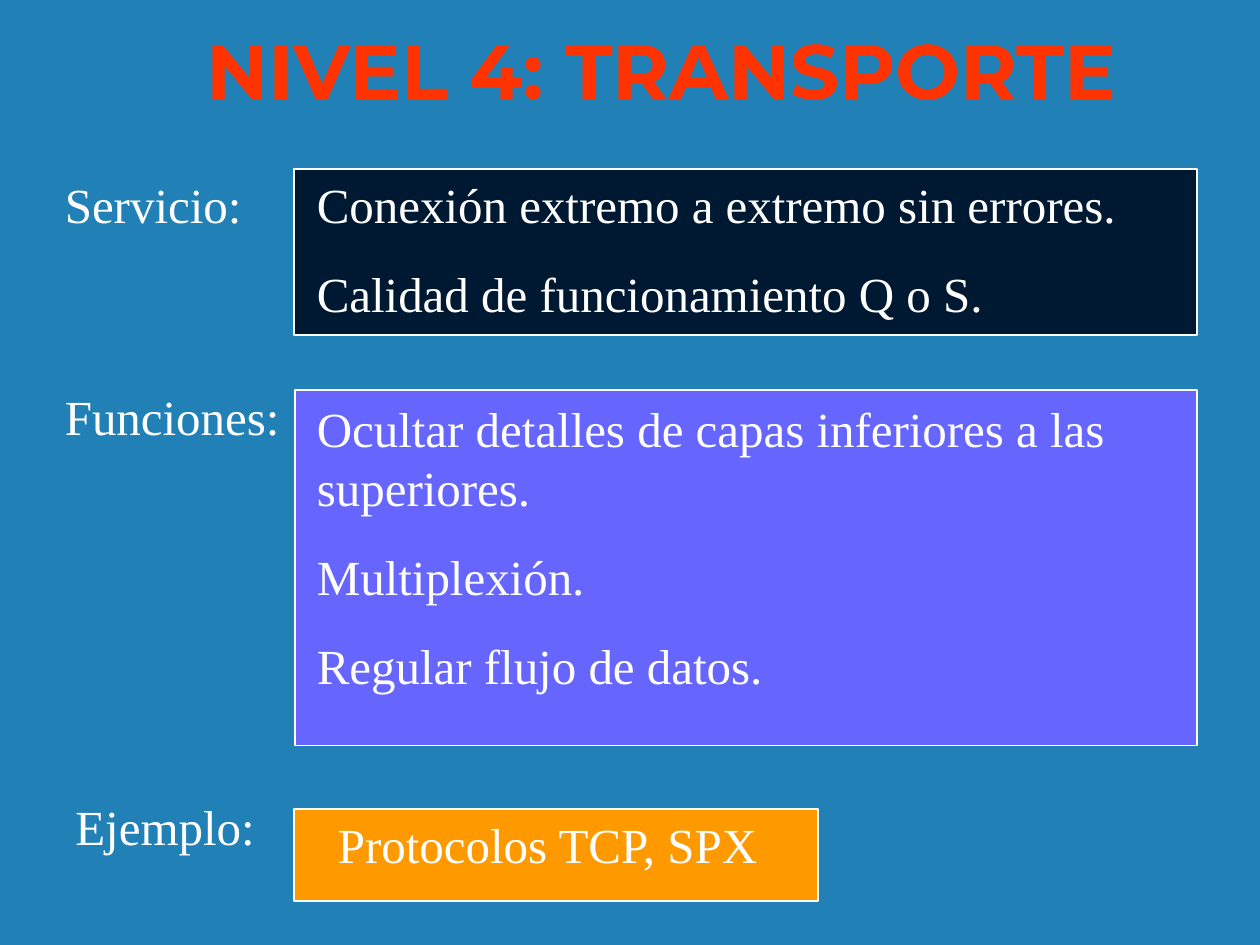
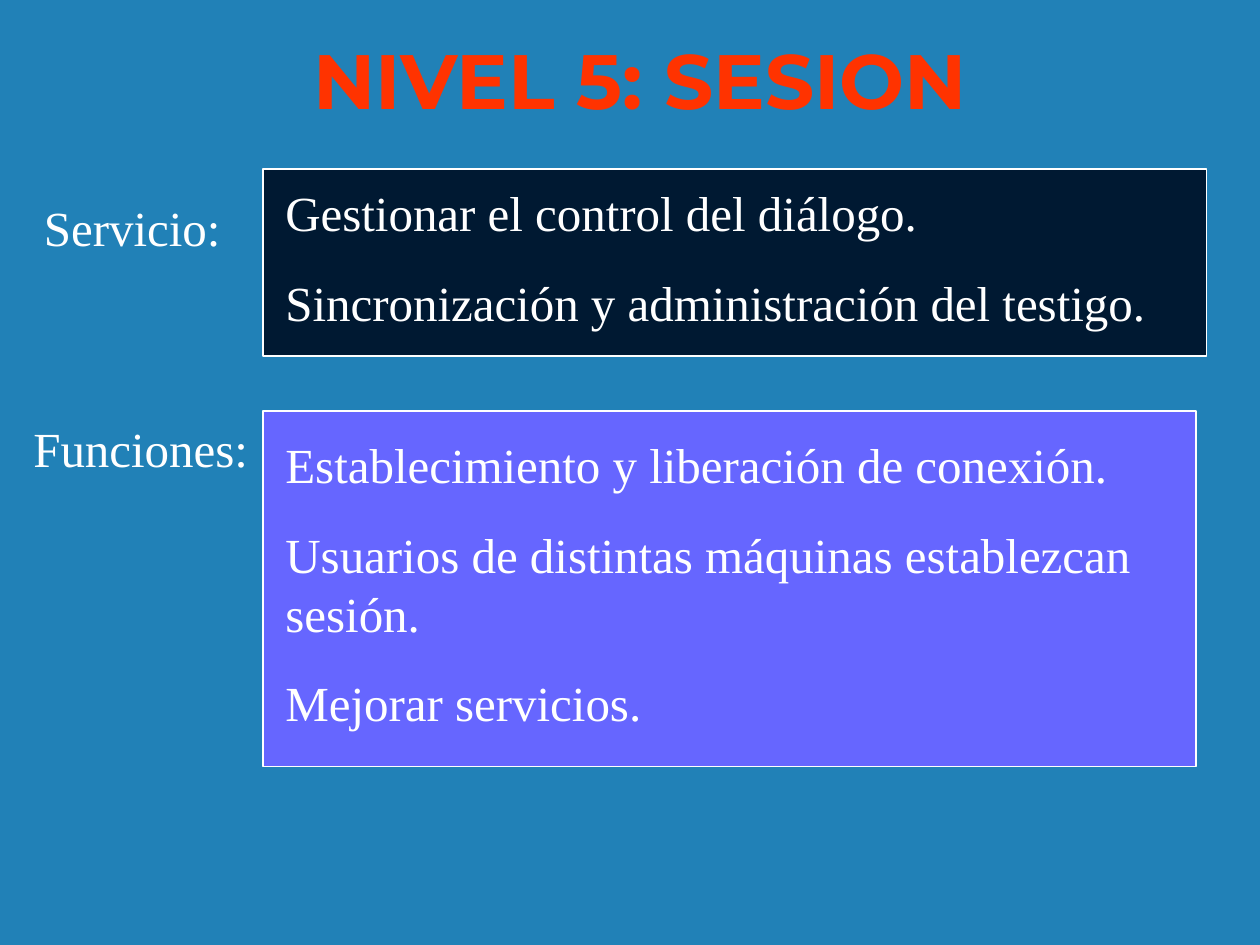
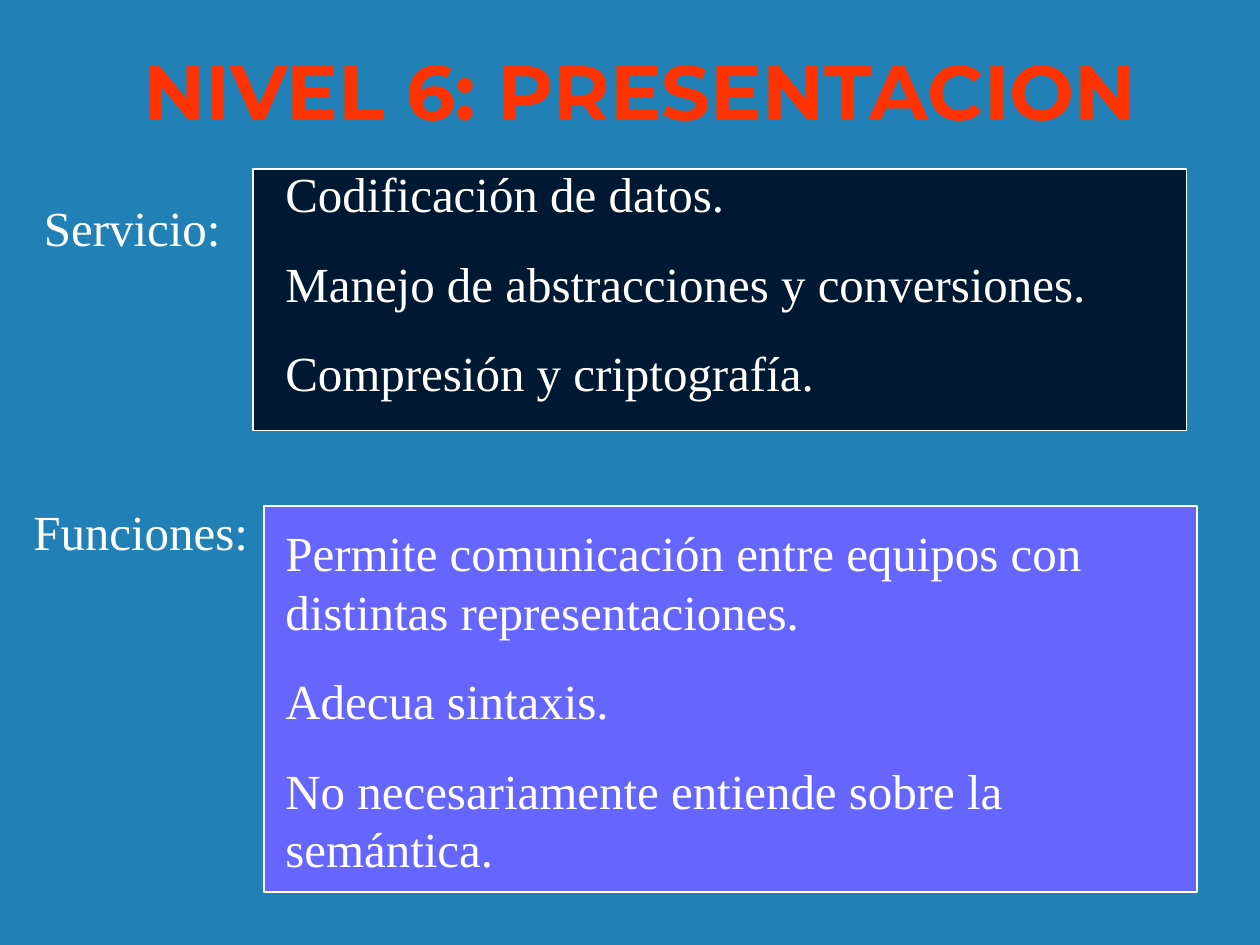
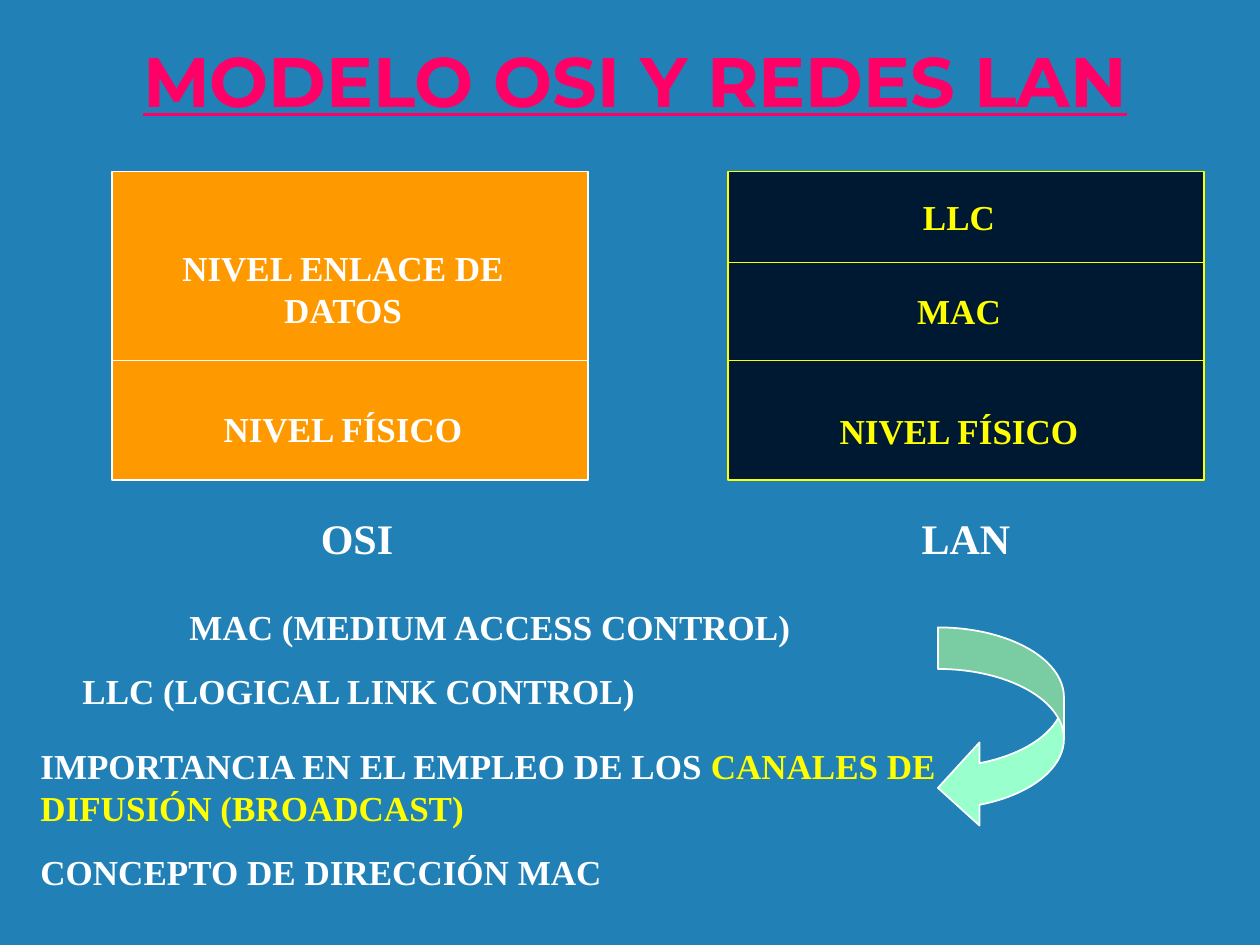
"""Build four slides on the OSI levels and LAN networks."""
from lxml import etree
from pptx import Presentation
from pptx import util as u
from pptx.dml.color import RGBColor
from pptx.enum import shapes, text
from pptx.oxml.ns import qn

COLOURS = {
    "background": "2181B7", "level": "FF3300", "model": "FF0066",
    "navy": "001932", "violet": "6666FF", "orange": "FF9900",
    "white": "FFFFFF", "yellow": "FFFF00", "mint": "99FFCC",
}
RGB = {name: RGBColor.from_string(value) for name, value in COLOURS.items()}
BODY_FONT, TITLE_FONT = "Times New Roman", "Montserrat"
LEFT, CENTRE = text.PP_ALIGN.LEFT, text.PP_ALIGN.CENTER
RECTANGLE = shapes.MSO_SHAPE.RECTANGLE


def write(slide, place, lines, size=28, colour="white", bold=False, align=LEFT):
    """Add a text box with one paragraph per line."""
    frame = slide.shapes.add_textbox(*map(u.Pt, place)).text_frame
    frame.word_wrap = True
    frame.auto_size = text.MSO_AUTO_SIZE.SHAPE_TO_FIT_TEXT
    frame.text = "\n".join(lines)
    for index, paragraph in enumerate(frame.paragraphs):
        paragraph.alignment = align
        if index:
            paragraph.space_before = u.Pt(0.625 * size)
        for run in paragraph.runs:
            run.font.name, run.font.size, run.font.bold = BODY_FONT, u.Pt(size), bold
            run.font.color.rgb = RGB[colour]
    return frame


def draw(slide, kind, place, fill, outline="white"):
    """Add a filled shape with a thin outline."""
    shape = slide.shapes.add_shape(kind, *map(u.Pt, place))
    shape.shadow.inherit = False
    shape.fill.solid()
    shape.fill.fore_color.rgb = RGB[fill]
    shape.line.color.rgb = RGB[outline]
    shape.line.width = u.Pt(1)
    return shape


deck = Presentation()
deck.slide_width, deck.slide_height = u.Pt(720), u.Pt(540)
backdrop = deck.slide_master.background.fill
backdrop.solid()
backdrop.fore_color.rgb = RGB["background"]

headings = [
    ("NIVEL 4: TRANSPORTE", (72, 6, 612, 66), 44, "level"),
    ("NIVEL 5: SESION", (84, 12, 564, 66), 44, "level"),
    ("NIVEL 6: PRESENTACION", (30, 18, 672, 66), 44, "level"),
    ("MODELO OSI Y REDES LAN", (36, 18, 654, 55), 40, "model"),
]
for wording, place, size, colour in headings:
    heading = deck.slides.add_slide(deck.slide_layouts[5]).shapes.title
    heading.left, heading.top, heading.width, heading.height = map(u.Pt, place)
    frame = heading.text_frame
    frame.text = wording
    frame.word_wrap = True
    frame.auto_size = text.MSO_AUTO_SIZE.NONE
    frame.vertical_anchor = text.MSO_ANCHOR.MIDDLE
    frame.paragraphs[0].alignment = CENTRE
    run = frame.paragraphs[0].runs[0]
    run.font.name, run.font.size, run.font.bold = TITLE_FONT, u.Pt(size), True
    run.font.underline = colour == "model"
    run.font.color.rgb = RGB[colour]
    effects = etree.Element(qn("a:effectLst"))
    shadow = etree.SubElement(effects, qn("a:outerShdw"), dist="25400", dir="2700000")
    etree.SubElement(shadow, qn("a:srgbClr"), val="000000")
    run.font.fill._xPr.find(qn("a:solidFill")).addnext(effects)

transport, session, presentation, lan_model = deck.slides

sections = [
    (transport, "Servicio:", (30, 96, 186, 41), "navy", (168, 96.5, 516, 95),
     (174, 96, 504, 92),
     ["Conexión extremo a extremo sin errores.", "Calidad de funcionamiento Q o S."]),
    (transport, "Funciones:", (30, 217.5, 144, 41), "violet", (168.5, 223, 515.5, 203),
     (174, 224, 546, 228),
     ["Ocultar detalles de capas inferiores a las superiores.", "Multiplexión.",
      "Regular flujo de datos."]),
    (transport, "Ejemplo:", (36, 451.5, 156, 41), "orange", (168, 462.5, 299.5, 52.5),
     (186, 462, 270, 41), ["Protocolos TCP, SPX"]),
    (session, "Servicio:", (18, 109.5, 186, 41), "navy", (150.5, 96.5, 539, 107),
     (156, 101, 534, 92),
     ["Gestionar el control del diálogo.", "Sincronización y administración del testigo."]),
    (session, "Funciones:", (12, 235.5, 144, 41), "violet", (150.5, 235, 533, 203),
     (156, 245, 528, 176),
     ["Establecimiento y liberación de conexión.",
      "Usuarios de distintas máquinas establezcan sesión.", "Mejorar servicios."]),
    (presentation, "Servicio:", (18, 109.5, 186, 41), "navy", (144.5, 96.5, 533.5, 149.5),
     (156, 90, 504, 143),
     ["Codificación de datos.", "Manejo de abstracciones y conversiones.",
      "Compresión y criptografía."]),
    (presentation, "Funciones:", (12, 283, 144, 41), "violet", (151, 289, 533, 221),
     (156, 295, 522, 210),
     ["Permite comunicación entre equipos con distintas representaciones.",
      "Adecua sintaxis.", "No necesariamente entiende sobre la semántica."]),
]
for slide, label, label_place, fill, panel_place, lines_place, lines in sections:
    write(slide, label_place, [label])
    draw(slide, RECTANGLE, panel_place, fill)
    write(slide, lines_place, lines)

stacks = [
    (64, "orange", "white", [206],
     [("NIVEL FÍSICO", 229.5, 32), ("NIVEL ENLACE DE DATOS", 137.5, 55)],
     "OSI", 80, 248),
    (416, "navy", "yellow", [150, 206],
     [("NIVEL FÍSICO", 230.5, 32), ("MAC", 162, 32), ("LLC", 108, 32)],
     "LAN", 440, 224),
]
for left, fill, ink, dividers, levels, caption, caption_left, caption_width in stacks:
    draw(lan_model, RECTANGLE, (left, 98, 272, 176.5), fill, ink)
    for y in dividers:
        divider = lan_model.shapes.add_connector(
            shapes.MSO_CONNECTOR.STRAIGHT, *map(u.Pt, (left, y, left + 272, y)))
        divider.line.color.rgb = RGB[ink]
        divider.line.width = u.Pt(1)
        etree.SubElement(divider._element.spPr, qn("a:effectLst"))
    for level, top, height in levels:
        write(lan_model, (left + 8, top, 248, height), [level], 20, ink, True, CENTRE)
    write(lan_model, (caption_left, 289.5, caption_width, 36), [caption], 24, "white",
          True, CENTRE)

acronyms = write(lan_model, (40, 342.5, 480, 68),
                 ["MAC (MEDIUM ACCESS CONTROL)", "LLC (LOGICAL LINK CONTROL)"],
                 20, bold=True)
acronyms.paragraphs[0].alignment = CENTRE

arrow = draw(lan_model, shapes.MSO_SHAPE.CURVED_LEFT_ARROW, (536, 358.5, 72, 115.5), "mint")
for index, ratio in enumerate((0.33, 0.66, 0.33)):
    arrow.adjustments[index] = ratio

ideas = write(lan_model, (16, 422, 536, 92),
              ["IMPORTANCIA EN EL EMPLEO DE LOS ", "CONCEPTO DE DIRECCIÓN MAC"],
              20, bold=True)
channels = ideas.paragraphs[0].add_run()
channels.text = "CANALES DE DIFUSIÓN (BROADCAST)"
channels.font.name, channels.font.size, channels.font.bold = BODY_FONT, u.Pt(20), True
channels.font.color.rgb = RGB["yellow"]

deck.save("out.pptx")
